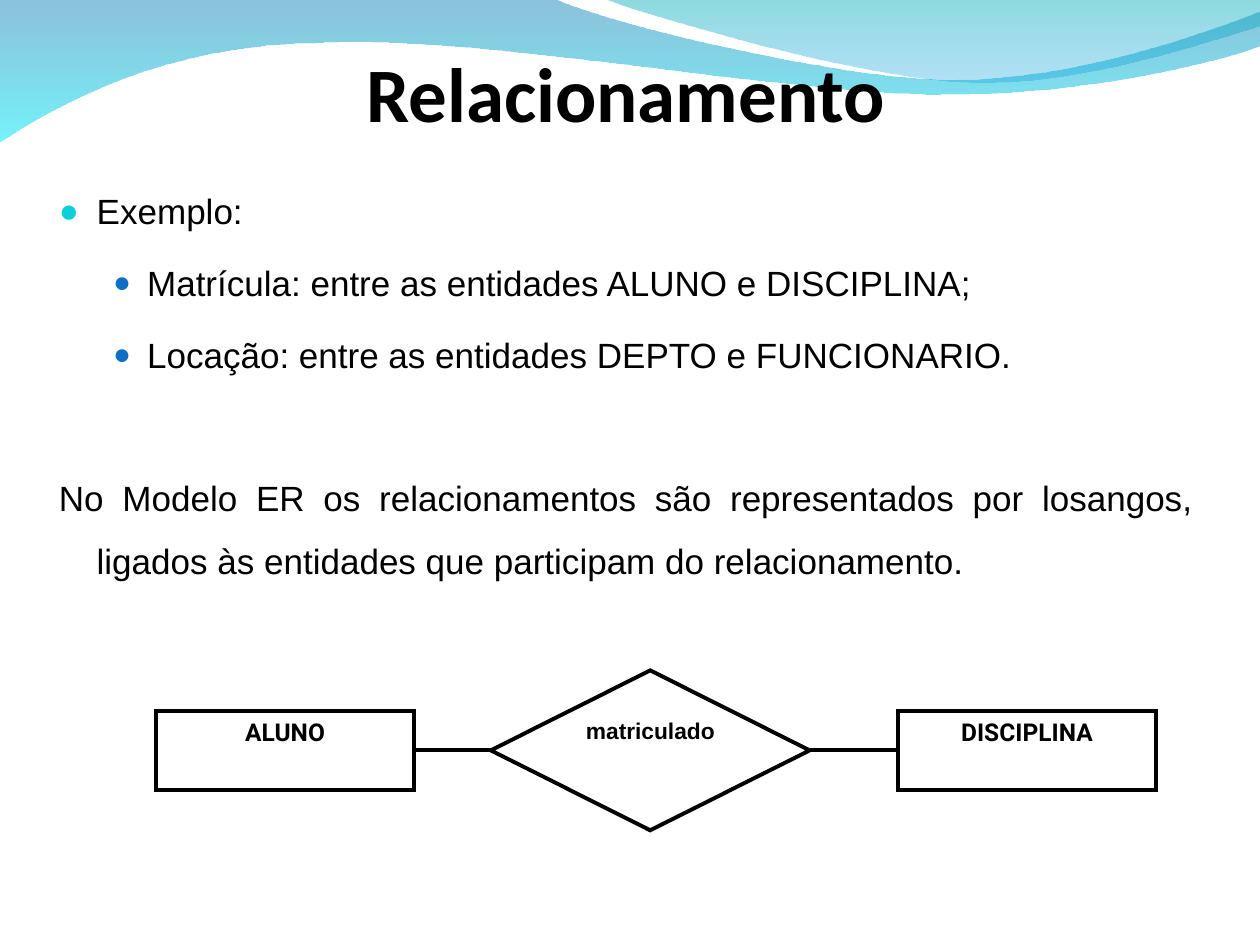
from dataclasses import dataclass

from lxml.etree import SubElement
from pptx import Presentation
from pptx.dml.color import RGBColor
from pptx.enum.shapes import MSO_CONNECTOR as Connector, MSO_SHAPE as Shape
from pptx.enum.text import MSO_ANCHOR as Anchor, MSO_AUTO_SIZE as AutoSize, PP_ALIGN as Align
from pptx.oxml.ns import qn
from pptx.util import Pt


@dataclass(frozen=True)
class Theme:
    ink: str = "000000"
    paper: str = "FFFFFF"
    bullet: str = "0BD0D9"
    sub_bullet: str = "0F6FC6"
    wide_wave: tuple = (("0079AF", 45), ("00EBF8", 55))
    narrow_wave: tuple = (("00ADB6", 45), ("009BE5", 30))
    title_font: str = "Calibri"
    body_font: str = "Arial"
    entity_font: str = "Roboto"
    title_size: float = 44
    body_size: float = 20
    entity_size: float = 14
    relation_size: float = 13
    line_width: float = 2.25


THEME = Theme()

WIDE_WAVE = [
    [(0, -0.7)],
    [(316.8, -0.7)],
    [(342.7, 12.2), (478.1, 45.4), (545.8, 45.4)],
    [(614.2, 45.4), (689.8, 18.7), (720, 6.5)],
    [(720.7, 25.9)],
    [(707.8, 31.7), (626.4, 54.7), (537.1, 54)],
    [(447.8, 54), (275, 20.2), (185, 24.5)],
    [(92.9, 25.2), (33.1, 59.8), (-0.7, 81.4)],
]
NARROW_WAVE = [
    [(344.9, -0.7)],
    [(366.5, 7.9), (491, 44.6), (553.7, 46.8)],
    [(616.3, 49.7), (691.9, 23), (720, 15.1)],
    [(720, 0)],
]


def color(value):
    return RGBColor.from_string(value)


def bend_segments(shape, outline):
    lines = iter(list(shape.element.iter(qn("a:lnTo"))))
    for part in outline[1:]:
        segment = [next(lines) for _ in part]
        if len(segment) == 3:
            segment[0].tag = qn("a:cubicBezTo")
            for line in segment[1:]:
                segment[0].append(line[0])
                line.getparent().remove(line)


def add_wave(slide, outline, stops):
    points = [(Pt(x), Pt(y)) for part in outline for x, y in part]
    builder = slide.shapes.build_freeform(*points[0])
    builder.add_line_segments(points[1:], close=True)
    shape = builder.convert_to_shape()
    bend_segments(shape, outline)
    shape.shadow.inherit = False
    shape.line.fill.background()
    shape.fill.gradient()
    shape.fill.gradient_angle = 270
    for stop, (value, _) in zip(shape.fill.gradient_stops, stops):
        stop.color.rgb = color(value)
    colors = shape.element.spPr.find(qn("a:gradFill")).iter(qn("a:srgbClr"))
    for node, (_, opacity) in zip(colors, stops):
        SubElement(node, qn("a:alpha"), val=str(opacity * 1000))


def add_run(paragraph, text, font, size, bold=False):
    run = paragraph.add_run()
    run.text = text
    run.font.name = font
    run.font.size = Pt(size)
    run.font.bold = bold
    run.font.color.rgb = color(THEME.ink)


def add_text_box(slide, left, top, width, height):
    frame = slide.shapes.add_textbox(Pt(left), Pt(top), Pt(width), Pt(height)).text_frame
    frame.word_wrap = True
    return frame


def add_title(slide, text):
    frame = add_text_box(slide, 43.9, 22.3, 627.8, 60.5)
    frame.auto_size = AutoSize.SHAPE_TO_FIT_TEXT
    frame.paragraphs[0].alignment = Align.CENTER
    add_run(frame.paragraphs[0], text, THEME.title_font, THEME.title_size, bold=True)


def format_paragraph(paragraph, level, margin, hanging, space, bullet):
    paragraph.alignment = Align.JUSTIFY
    paragraph.level = level
    paragraph.line_spacing = 1.5
    paragraph.space_before = Pt(space)
    properties = paragraph._p.get_or_add_pPr()
    properties.set("marL", str(Pt(margin)))
    properties.set("indent", str(-Pt(hanging)))
    if bullet:
        value, percent = bullet
        SubElement(SubElement(properties, qn("a:buClr")), qn("a:srgbClr"), val=value)
        SubElement(properties, qn("a:buSzPct"), val=str(percent * 1000))
        SubElement(properties, qn("a:buFont"), typeface=THEME.body_font)
        SubElement(properties, qn("a:buChar"), char="●")
    else:
        SubElement(properties, qn("a:buNone"))


def add_body(slide):
    main_style = (0, 21.6, 21.6, 5, (THEME.bullet, 95))
    sub_style = (1, 50.4, 19.4, 5, (THEME.sub_bullet, 85))
    closing_style = (0, 21.6, 21.6, 46, None)
    content = [
        ("Exemplo:", main_style),
        ("Matrícula: entre as entidades ALUNO e DISCIPLINA;", sub_style),
        ("Locação: entre as entidades DEPTO e FUNCIONARIO.", sub_style),
        ("No Modelo ER os relacionamentos são representados por losangos, "
         "ligados às entidades que participam do relacionamento.", closing_style),
    ]
    frame = add_text_box(slide, 26.6, 92.9, 662.4, 345.6)
    for index, (text, style) in enumerate(content):
        paragraph = frame.add_paragraph() if index else frame.paragraphs[0]
        format_paragraph(paragraph, *style)
        add_run(paragraph, text, THEME.body_font, THEME.body_size)


def style_line(line):
    line.color.rgb = color(THEME.ink)
    line.width = Pt(THEME.line_width)


def add_node(slide, kind, left, width, height, text, font, size):
    middle = 428.8
    shape = slide.shapes.add_shape(kind, Pt(left), Pt(middle - height / 2), Pt(width), Pt(height))
    shape.shadow.inherit = False
    shape.fill.solid()
    shape.fill.fore_color.rgb = color(THEME.paper)
    style_line(shape.line)
    SubElement(shape.element.spPr.find(qn("a:ln")), qn("a:miter"), lim="800000")
    frame = shape.text_frame
    frame.word_wrap = True
    frame.vertical_anchor = Anchor.TOP
    frame.paragraphs[0].alignment = Align.CENTER
    add_run(frame.paragraphs[0], text, font, size, bold=True)
    return shape


def add_entity(slide, left, text):
    return add_node(slide, Shape.FLOWCHART_PROCESS, left, 147.6, 45.4, text,
                    THEME.entity_font, THEME.entity_size)


def add_relation(slide, left, text):
    return add_node(slide, Shape.FLOWCHART_DECISION, left, 182.2, 91.4, text,
                    THEME.body_font, THEME.relation_size)


def join(slide, start, start_side, end, end_side):
    connector = slide.shapes.add_connector(Connector.STRAIGHT, 0, 0, 0, 0)
    connector.begin_connect(start, start_side)
    connector.end_connect(end, end_side)
    style_line(connector.line)
    SubElement(connector.element.spPr, qn("a:effectLst"))


def main():
    presentation = Presentation()
    presentation.slide_width, presentation.slide_height = Pt(720), Pt(540)
    slide = presentation.slides.add_slide(presentation.slide_layouts[6])
    add_wave(slide, WIDE_WAVE, THEME.wide_wave)
    add_wave(slide, NARROW_WAVE, THEME.narrow_wave)
    add_title(slide, "Relacionamento")
    add_body(slide)
    student = add_entity(slide, 89.1, "ALUNO")
    course = add_entity(slide, 513.1, "DISCIPLINA")
    enrolled = add_relation(slide, 280.5, "matriculado")
    join(slide, enrolled, 1, student, 3)
    join(slide, enrolled, 3, course, 1)
    presentation.save("out.pptx")


if __name__ == "__main__":
    main()
